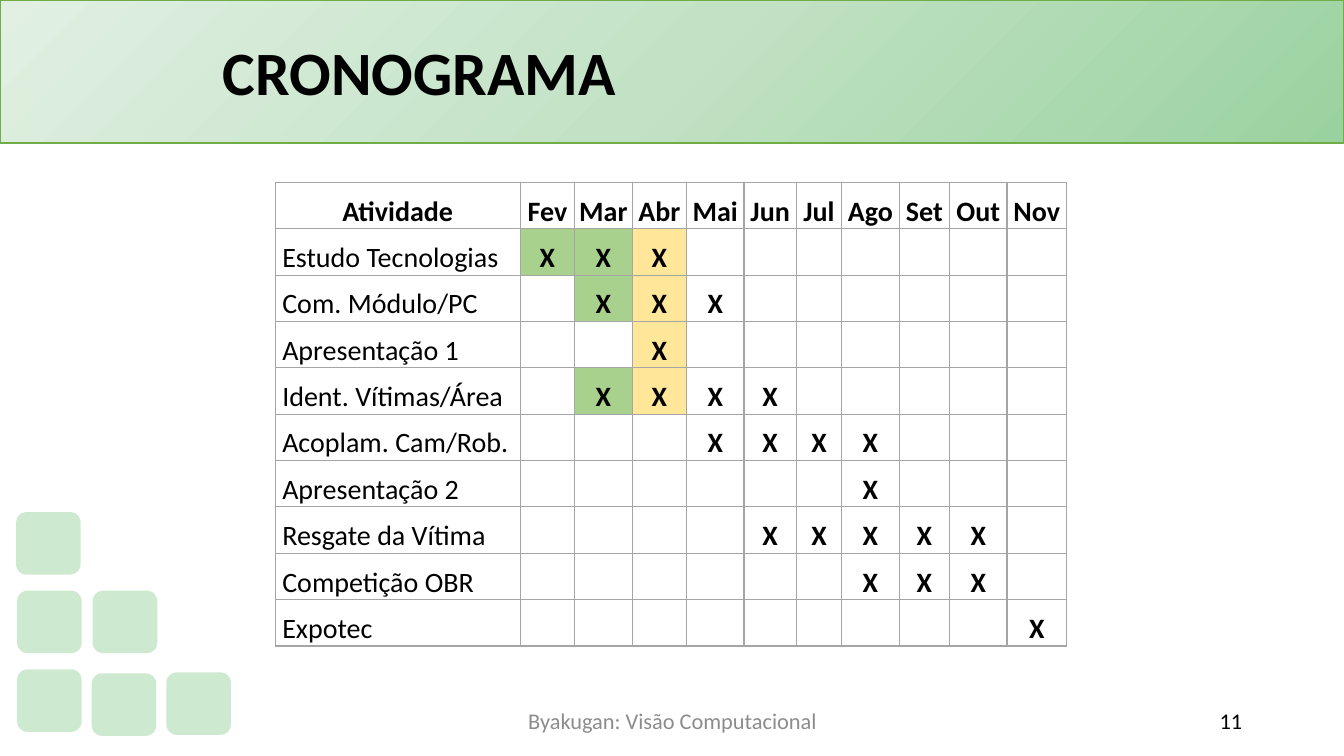
from dataclasses import dataclass

from lxml.etree import SubElement
from pptx import Presentation
from pptx.dml.color import RGBColor
from pptx.enum.shapes import MSO_SHAPE as Shape
from pptx.enum.text import MSO_ANCHOR as Anchor, MSO_AUTO_SIZE as AutoSize, PP_ALIGN as Align
from pptx.oxml import parse_xml
from pptx.oxml.ns import nsdecls, qn
from pptx.util import Emu, Pt

PX = 9144  # 100 px to the inch


@dataclass(frozen=True)
class Theme:
    font: str = "Calibri"
    title_size: int = 44
    table_size: int = 20
    footer_size: int = 16
    text: str = "000000"
    muted: str = "8C8C8C"
    tile: str = "9DD7A3"
    band_line: str = "70AD47"
    band_stops: tuple = ((0, "9AD29F"), (50, "C2E2C5"), (100, "E1F0E3"))
    grid: str = "A5A5A5"
    done: str = "A9D18E"
    current: str = "FFE699"


THEME = Theme()
MONTHS = "Fev Mar Abr Mai Jun Jul Ago Set Out Nov".split()
COLUMN_WIDTHS = [243, 54, 57, 54, 57, 52, 45, 57, 50, 57, 59]
ROW_HEIGHT = 46
CURRENT_MONTH = "Abr"
# Activity, first month, last month
ACTIVITIES = [
    ("Estudo Tecnologias", "Fev", "Abr"),
    ("Com. Módulo/PC", "Mar", "Mai"),
    ("Apresentação 1", "Abr", "Abr"),
    ("Ident. Vítimas/Área", "Mar", "Jun"),
    ("Acoplam. Cam/Rob.", "Mai", "Ago"),
    ("Apresentação 2", "Ago", "Ago"),
    ("Resgate da Vítima", "Jun", "Out"),
    ("Competição OBR", "Ago", "Out"),
    ("Expotec", "Nov", "Nov"),
]


def px(*lengths):
    return [Emu(length * PX) for length in lengths]


def rgb(color):
    return RGBColor.from_string(color)


def style_para(para, size, color=THEME.text, bold=False, align=Align.LEFT):
    para.alignment = align
    para.font.name = THEME.font
    para.font.size = Pt(size)
    para.font.bold = bold
    para.font.color.rgb = rgb(color)


def add_tiles(page, left, top):
    """Stair of rounded tiles, placed from its top left corner."""
    offsets = [(1, 78), (1, 156), (0, 0), (76, 78), (75, 160), (149, 159)]
    for dx, dy in offsets:
        tile = page.shapes.add_shape(Shape.ROUNDED_RECTANGLE, *px(left + dx, top + dy, 64, 62))
        tile.shadow.inherit = False
        tile.line.fill.background()
        tile.fill.solid()
        tile.fill.fore_color.rgb = rgb(THEME.tile)
        color = tile.fill._xPr.find(".//" + qn("a:srgbClr"))
        SubElement(color, qn("a:alpha"), val="50000")


def add_band(page, left, top, width, height):
    """Header band with a gradient that spreads from its bottom right corner."""
    band = page.shapes.add_shape(Shape.RECTANGLE, *px(left, top, width, height))
    band.shadow.inherit = False
    band.line.color.rgb = rgb(THEME.band_line)
    band.line.width = Pt(1)
    stops = "".join(
        f'<a:gs pos="{position * 1000}"><a:srgbClr val="{color}"/></a:gs>'
        for position, color in THEME.band_stops
    )
    gradient = parse_xml(
        f'<a:gradFill {nsdecls("a")} rotWithShape="1"><a:gsLst>{stops}</a:gsLst>'
        '<a:path path="circle"><a:fillToRect l="100000" t="100000"/></a:path></a:gradFill>'
    )
    band._element.spPr.find(qn("a:prstGeom")).addnext(gradient)


def place_title(page, text, left, top, width, height):
    title = page.shapes.title
    title.left, title.top, title.width, title.height = px(left, top, width, height)
    frame = title.text_frame
    frame.text = text
    frame.auto_size = AutoSize.NONE
    frame.vertical_anchor = Anchor.MIDDLE
    para = frame.paragraphs[0]
    para.line_spacing = 0.9
    style_para(para, THEME.title_size, bold=True)
    page.shapes._spTree.append(title._element)  # in front of the band


def add_footer_text(page, text, color, align, left, top, width, height):
    frame = page.shapes.add_textbox(*px(left, top, width, height)).text_frame
    frame.word_wrap = True
    frame.vertical_anchor = Anchor.MIDDLE
    frame.text = text
    style_para(frame.paragraphs[0], THEME.footer_size, color, align=align)


def fill_cell(cell, text="", bold=True, align=Align.CENTER, fill=None, indent=1):
    cell.margin_left, cell.margin_right, cell.margin_top, cell.margin_bottom = px(indent, 1, 1, 0)
    cell.vertical_anchor = Anchor.BOTTOM
    cell.text = text
    style_para(cell.text_frame.paragraphs[0], THEME.table_size, bold=bold, align=align)
    # Borders come before the fill
    properties = cell._tc.get_or_add_tcPr()
    for side in "LRTB":
        border = SubElement(properties, qn(f"a:ln{side}"), w=str(Pt(1)))
        SubElement(SubElement(border, qn("a:solidFill")), qn("a:srgbClr"), val=THEME.grid)
    if fill:
        cell.fill.solid()
        cell.fill.fore_color.rgb = rgb(fill)
    else:
        cell.fill.background()


def add_schedule(page, left, top):
    """Activities by month, with an X for each month of work."""
    rows, columns = len(ACTIVITIES) + 1, len(COLUMN_WIDTHS)
    box = px(left, top, sum(COLUMN_WIDTHS), ROW_HEIGHT * rows)
    table = page.shapes.add_table(rows, columns, *box).table
    table.first_row = table.horz_banding = False
    for column, width in zip(table.columns, px(*COLUMN_WIDTHS)):
        column.width = width

    for col, heading in enumerate(["Atividade"] + MONTHS):
        fill_cell(table.cell(0, col), heading)

    now = MONTHS.index(CURRENT_MONTH)
    for row, (activity, first, last) in enumerate(ACTIVITIES, 1):
        fill_cell(table.cell(row, 0), activity, bold=False, align=Align.LEFT, indent=7)
        start, end = MONTHS.index(first), MONTHS.index(last)
        for month in range(len(MONTHS)):
            active = start <= month <= end
            fill = None
            if active and month <= now:
                fill = THEME.current if month == now else THEME.done
            fill_cell(table.cell(row, month + 1), "X" if active else "", fill=fill)


def build_schedule_slide(deck):
    page = deck.slides.add_slide(deck.slide_layouts[5])
    add_tiles(page, 16, 508)
    add_band(page, 0, 0, 1333, 142)
    add_footer_text(page, "11", THEME.text, Align.RIGHT, 942, 695, 300, 40)
    place_title(page, "CRONOGRAMA", 211, 22, 1031, 105)
    add_footer_text(page, "Byakugan: Visão Computacional", THEME.muted, Align.CENTER,
                    442, 695, 450, 40)
    add_schedule(page, 273, 181)


def main():
    deck = Presentation()
    deck.slide_width, deck.slide_height = px(1333, 750)
    build_schedule_slide(deck)
    deck.save("out.pptx")


if __name__ == "__main__":
    main()
